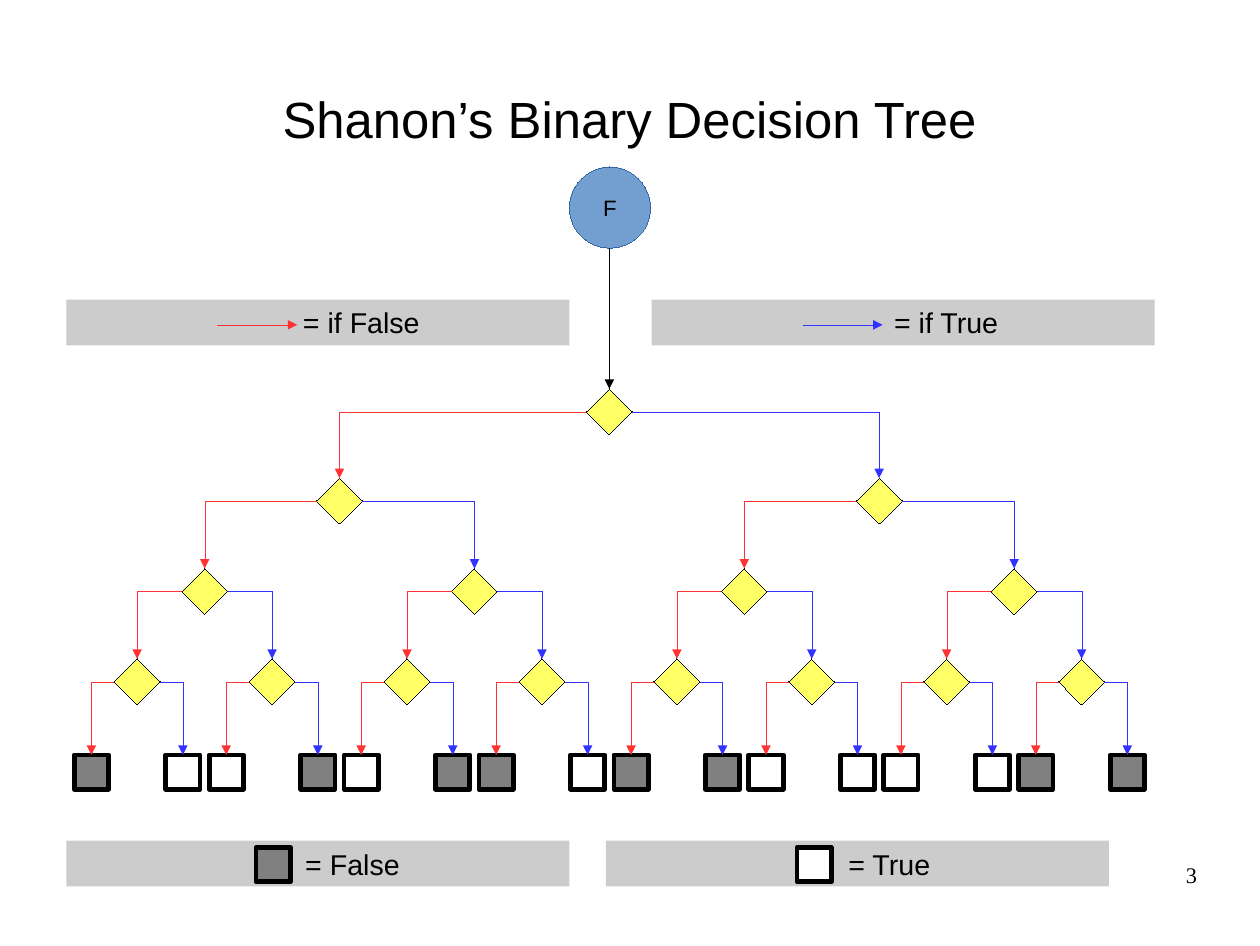
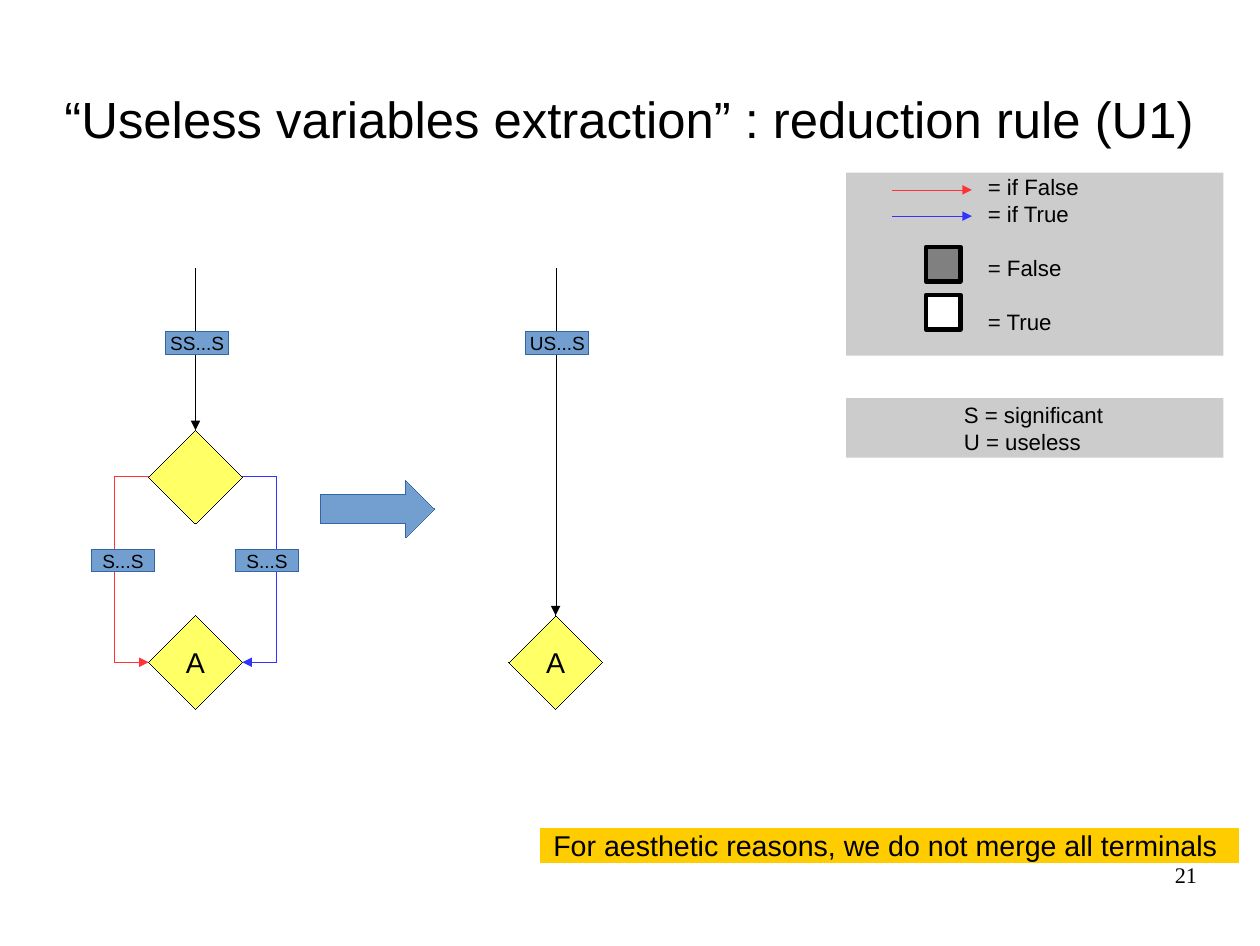
from dataclasses import dataclass
from itertools import pairwise
from typing import Iterator, Optional

from pptx import Presentation
from pptx.dml.color import RGBColor
from pptx.enum.shapes import MSO_CONNECTOR, MSO_SHAPE
from pptx.enum.text import MSO_ANCHOR, MSO_AUTO_SIZE, PP_ALIGN
from pptx.oxml.ns import qn
from pptx.oxml.xmlchemy import OxmlElement
from pptx.util import Pt

PX = 9144
RECT, DIAMOND = MSO_SHAPE.RECTANGLE, MSO_SHAPE.DIAMOND
ELLIPSE, RIGHT_ARROW = MSO_SHAPE.OVAL, MSO_SHAPE.RIGHT_ARROW
STRAIGHT, ELBOW = MSO_CONNECTOR.STRAIGHT, MSO_CONNECTOR.ELBOW
LEFT, CENTER, RIGHT = PP_ALIGN.LEFT, PP_ALIGN.CENTER, PP_ALIGN.RIGHT
MIDDLE, TOP = MSO_ANCHOR.MIDDLE, MSO_ANCHOR.TOP
NO_AUTOFIT = MSO_AUTO_SIZE.NONE
TITLE_ONLY = 5
SITE_TOP, SITE_LEFT, SITE_RIGHT = 0, 1, 3
SANS, SERIF = "Arial", "Times New Roman"
HAIRLINE = 0.01
COLORS = {
    "black": "000000", "white": "FFFFFF", "gray": "808080", "panel": "CCCCCC",
    "if_false": "FF3333", "if_true": "3333FF", "node": "FFFF66",
    "blue": "729FCF", "blue_edge": "3465A4", "note": "FFCC00",
}
SWATCH, NODE, BIG_NODE = 30, 40, 82
ROOT_X, ROOT_Y, NODES_HEIGHT = 533, 360, 236
SPREADS = (236, 118, 59, 40)
LEAF_Y = 675
LEAVES = "FTTFTFFTFFTTTTFF"


@dataclass(frozen=True)
class Box:
    """Position and size in px."""
    x: int
    y: int
    w: int
    h: int


@dataclass(frozen=True)
class Look:
    """Fill, outline and outline width in points of a shape."""
    fill: str
    line: Optional[str] = None
    width: float = HAIRLINE


@dataclass(frozen=True)
class Key:
    """Legend bar with its text start and its symbol."""
    bar: Box
    text: str
    text_x: int
    symbol_x: int
    color: str


PANEL = Look("panel")
NODE_LOOK = Look("node", "black")
BLUE_LOOK = Look("blue", "blue_edge")
NOTE_LOOK = Look("note", "note")
ARROW_KEYS = (
    Key(Box(58, 262, 440, 40), "= if False", 265, 190, "if_false"),
    Key(Box(570, 262, 440, 40), "= if True", 782, 702, "if_true"),
)
LEAF_KEYS = (
    Key(Box(58, 735, 440, 40), "= False", 267, 239, "gray"),
    Key(Box(530, 735, 440, 40), "= True", 742, 712, "white"),
)
EDGE_LABELS = (
    (80, 480, "S...S"), (206, 480, "S...S"), (145, 290, "SS...S"), (460, 290, "US...S"),
)


def rgb(name: str) -> RGBColor:
    """Look up a palette colour."""
    return RGBColor.from_string(COLORS[name])


def style(p, size: int, align=CENTER, font: str = SANS) -> None:
    """Format one paragraph."""
    p.alignment = align
    p.font.size, p.font.name = Pt(size), font
    p.font.color.rgb = rgb("black")


def clear_margins(tf) -> None:
    """Remove the insets of a text frame."""
    tf.margin_left = tf.margin_right = tf.margin_top = tf.margin_bottom = 0


def add_box(slide, kind, box: Box, look: Look, text: str = "", size: int = 18,
            text_x: Optional[int] = None):
    """Draw a preset shape, its text centred or starting at text_x."""
    sp = slide.shapes.add_shape(kind, box.x * PX, box.y * PX, box.w * PX, box.h * PX)
    sp.shadow.inherit = False
    sp.fill.solid()
    sp.fill.fore_color.rgb = rgb(look.fill)
    if look.line:
        sp.line.color.rgb = rgb(look.line)
        sp.line.width = Pt(look.width)
    else:
        sp.line.fill.background()
    if text:
        tf = sp.text_frame
        clear_margins(tf)
        tf.vertical_anchor = MIDDLE
        tf.word_wrap = text_x is not None
        if text_x is not None:
            tf.margin_left = (text_x - box.x) * PX
        tf.text = text
        for p in tf.paragraphs:
            style(p, size, CENTER if text_x is None else LEFT)
    return sp


def add_centered(slide, kind, x: int, y: int, side: int, look: Look, text: str = ""):
    """Draw a square shape around a centre point."""
    return add_box(slide, kind, Box(x - side // 2, y - side // 2, side, side), look, text)


def add_swatch(slide, x: int, y: int, color: str):
    """Draw a terminal square around a centre point."""
    return add_centered(slide, RECT, x, y, SWATCH, Look(color, "black", 3))


def finish_line(sp, color: str, head: bool = True) -> None:
    """Give a connector its hairline, arrowhead and empty effect list."""
    sp.line.color.rgb = rgb(color)
    sp.line.width = Pt(HAIRLINE)
    if head:
        tail = OxmlElement("a:tailEnd")
        tail.set("type", "triangle")
        sp._element.spPr.find(qn("a:ln")).append(tail)
    sp._element.spPr.append(OxmlElement("a:effectLst"))


def add_arrow(slide, *points: tuple[int, int], color: str = "black") -> None:
    """Draw straight connectors through the points, with a head on the last."""
    for start, end in pairwise(points):
        (x1, y1), (x2, y2) = start, end
        sp = slide.shapes.add_connector(STRAIGHT, x1 * PX, y1 * PX, x2 * PX, y2 * PX)
        finish_line(sp, color, end == points[-1])


def add_branch(slide, node, site: int, child, color: str) -> None:
    """Join a node's side to the top of its child with one corner."""
    sp = slide.shapes.add_connector(ELBOW, 0, 0, 0, 0)
    sp.begin_connect(node, site)
    sp.end_connect(child, SITE_TOP)
    sp._element.spPr.find(qn("a:prstGeom")).set("prst", "bentConnector2")
    finish_line(sp, color)


def add_tree(slide, x: int, depth: int, leaves: Iterator[str]):
    """Draw a subtree and return its top shape."""
    if depth == len(SPREADS):
        return add_swatch(slide, x, LEAF_Y, "gray" if next(leaves) == "F" else "white")
    y = ROOT_Y + NODES_HEIGHT * depth // (len(SPREADS) - 1)
    node = add_centered(slide, DIAMOND, x, y, NODE, NODE_LOOK)
    for side, site, color in ((-1, SITE_LEFT, "if_false"), (1, SITE_RIGHT, "if_true")):
        child = add_tree(slide, x + side * SPREADS[depth], depth + 1, leaves)
        add_branch(slide, node, site, child, color)
    return node


def new_slide(prs, title: str, number: int):
    """Add a slide with its title and page number."""
    slide = prs.slides.add_slide(prs.slide_layouts[TITLE_ONLY])
    sp = slide.shapes.title
    sp.left, sp.top, sp.width, sp.height = 55 * PX, 34 * PX, 992 * PX, 138 * PX
    tf = sp.text_frame
    tf.text = title
    tf.auto_size = NO_AUTOFIT
    tf.vertical_anchor = MIDDLE
    clear_margins(tf)
    style(tf.paragraphs[0], 32)
    tf = slide.shapes.add_textbox(790 * PX, 753 * PX, 257 * PX, 57 * PX).text_frame
    tf.word_wrap = True
    clear_margins(tf)
    tf.text = str(number)
    style(tf.paragraphs[0], 14, RIGHT, SERIF)
    return slide


def build_tree_slide(prs) -> None:
    """Build the decision tree slide."""
    slide = new_slide(prs, "Shanon’s Binary Decision Tree", 3)
    add_tree(slide, ROOT_X, 0, iter(LEAVES))
    add_box(slide, ELLIPSE, Box(498, 146, 71, 71), BLUE_LOOK, "F", 14)
    add_arrow(slide, (ROOT_X, 217), (ROOT_X, ROOT_Y - NODE // 2))
    for key in ARROW_KEYS + LEAF_KEYS:
        add_box(slide, RECT, key.bar, PANEL, key.text, text_x=key.text_x)
        x, y = key.symbol_x, key.bar.y + key.bar.h // 2
        if key in ARROW_KEYS:
            add_arrow(slide, (x, y + 2), (x + 70, y + 2), color=key.color)
        else:
            add_swatch(slide, x, y + 1, key.color)


def build_rule_slide(prs) -> None:
    """Build the reduction rule slide."""
    slide = new_slide(prs, "“Useless variables extraction” : reduction rule (U1)", 21)
    before, after, upper, lower = 171, 486, 417, 579
    half, detour = BIG_NODE // 2, 30
    add_centered(slide, DIAMOND, before, upper, BIG_NODE, NODE_LOOK)
    for x in (before, after):
        add_centered(slide, DIAMOND, x, lower, BIG_NODE, NODE_LOOK, "A")
    for side, color in ((-1, "if_false"), (1, "if_true")):
        edge, outer = before + side * half, before + side * (half + detour)
        add_arrow(slide, (edge, upper), (outer, upper), (outer, lower), (edge, lower),
                  color=color)
    for x, y in ((before, upper), (after, lower)):
        add_arrow(slide, (x, 234), (x, y - half))
    add_box(slide, RIGHT_ARROW, Box(280, 420, 100, 50), BLUE_LOOK)
    for x, y, text in EDGE_LABELS:
        add_box(slide, RECT, Box(x, y, 55, 20), BLUE_LOOK, text, 12)

    symbols = add_box(slide, RECT, Box(740, 151, 330, 160), PANEL,
                      "= if False\n= if True\n= False\n= True", 14, 864)
    letters = add_box(slide, RECT, Box(740, 348, 330, 52), PANEL,
                      "S = significant\nU = useless", 14, 843)
    symbols.text_frame.vertical_anchor = TOP
    for sp in (symbols, letters):
        for p in sp.text_frame.paragraphs:
            p.line_spacing = Pt(17)
    for p in symbols.text_frame.paragraphs[2:]:
        p.space_before = Pt(17)
    for y, color in ((166, "if_false"), (189, "if_true")):
        add_arrow(slide, (780, y), (850, y), color=color)
    for y, color in ((231, "gray"), (273, "white")):
        add_swatch(slide, 825, y, color)
    add_box(slide, RECT, Box(473, 724, 610, 30), NOTE_LOOK,
            "For aesthetic reasons, we do not merge all terminals", text_x=484)


def main() -> None:
    """Build and save the presentation."""
    prs = Presentation()
    prs.slide_width, prs.slide_height = 1102 * PX, 827 * PX
    build_tree_slide(prs)
    build_rule_slide(prs)
    prs.save("out.pptx")


if __name__ == "__main__":
    main()
